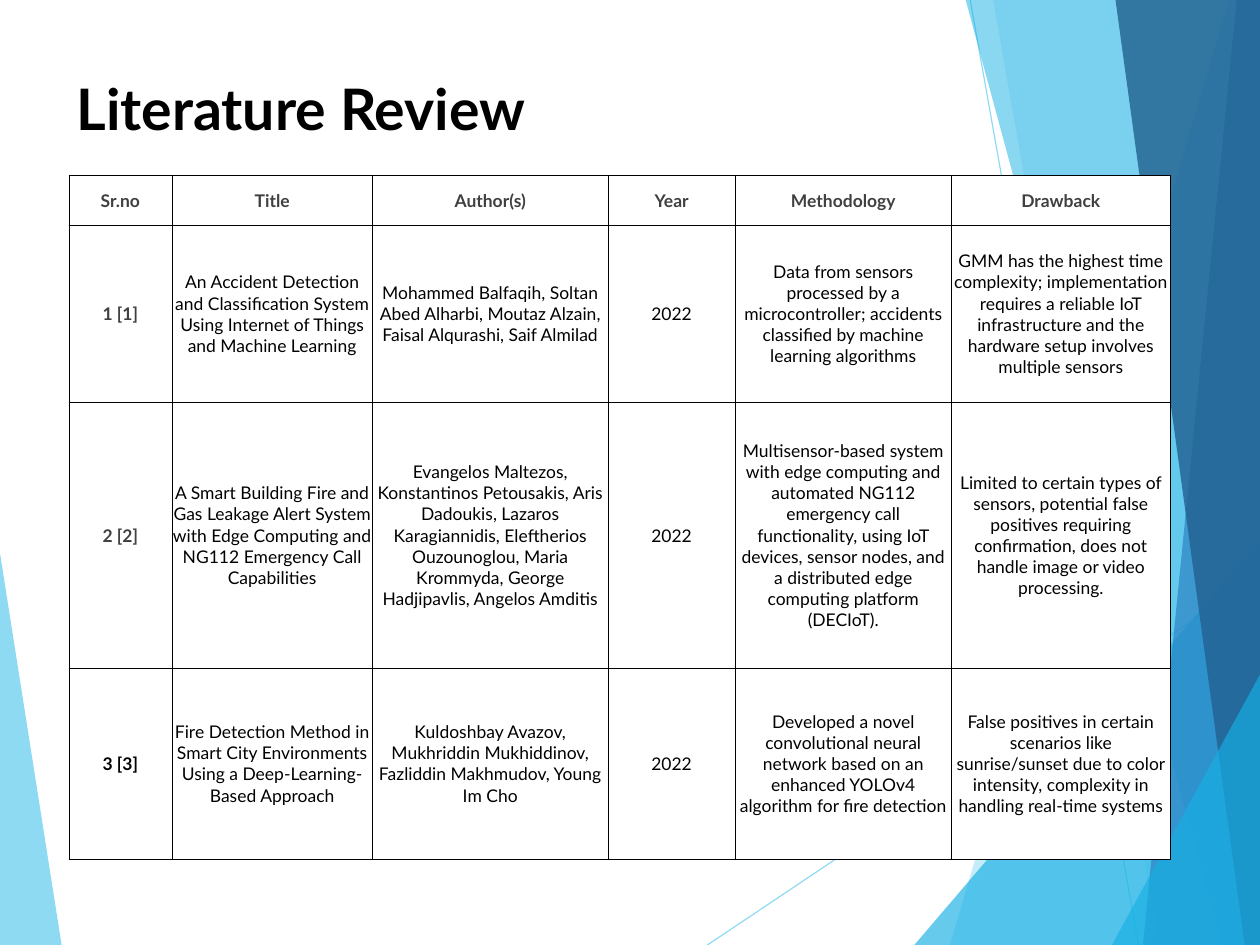
import pptx
import pptx.util
import pptx.dml.color
import pptx.enum.shapes
import pptx.enum.text
import pptx.oxml
import pptx.oxml.ns
from lxml import etree

Cm = pptx.util.Cm
qn = pptx.oxml.ns.qn

theme = {
    "font": "Lato", "title_size": 36, "table_size": 11,
    "ink": "000000", "label": "404040", "paper": "FFFFFF",
    "sky": "5FCBEF", "cyan": "17B0E4", "blue": "2E83C3", "navy": "236292",
    "accent_line": 0.75, "table_line": 0.45,
}


def write_text(frame, text, size, color, bold=False, align="LEFT"):
    frame.word_wrap = True
    para = frame.paragraphs[0]
    para.alignment = getattr(pptx.enum.text.PP_ALIGN, align)
    span = para.add_run()
    span.text = text
    span.font.name = theme["font"]
    span.font.size = pptx.util.Pt(size)
    span.font.bold = bold
    span.font.color.rgb = pptx.dml.color.RGBColor.from_string(color)


def paint(fill, color, opacity):
    fill.solid()
    fill.fore_color.rgb = pptx.dml.color.RGBColor.from_string(color)
    tint = fill._xPr.find(".//" + qn("a:srgbClr"))
    etree.SubElement(tint, qn("a:alpha"), val=str(opacity * 1000))


deck = pptx.Presentation()
deck.slide_width, deck.slide_height = Cm(28), Cm(21)
page = deck.slides.add_slide(deck.slide_layouts[6])

right_edge = [(28, 21), (28, 0)]
panels = [
    ([(0, 12.29), (1.37, 21), (0, 21)], "sky", 70),
    ([(27.31, 0), (21.11, 21)] + right_edge, "sky", 36),
    ([(22.07, 0), (25.76, 21)] + right_edge, "sky", 20),
    ([(20.32, 21), (28, 12.01), (28, 21)], "cyan", 66),
    ([(21.46, 0), (27.15, 21)] + right_edge, "cyan", 50),
    ([(27.48, 0), (25.4, 21)] + right_edge, "blue", 70),
    ([(24.79, 0), (27.66, 21)] + right_edge, "navy", 82),
    ([(24.71, 21), (28, 14.99), (28, 21)], "cyan", 66),
]
accent_lines = [(15.72, 21, 28, 12.78), (21.56, 0, 25.3, 21)]

for ends in accent_lines:
    accent = page.shapes.add_connector(
        pptx.enum.shapes.MSO_CONNECTOR.STRAIGHT, *[Cm(value) for value in ends])
    accent.line.width = pptx.util.Pt(theme["accent_line"])
    paint(accent.line.fill, theme["sky"], 70)
    etree.SubElement(accent._element.spPr, qn("a:effectLst"))

for corners, color, opacity in panels:
    points = [(Cm(x), Cm(y)) for x, y in corners]
    outline = page.shapes.build_freeform(*points[0])
    outline.add_line_segments(points[1:], close=True)
    panel = outline.convert_to_shape()
    panel.shadow.inherit = False
    panel.line.fill.background()
    paint(panel.fill, theme[color], opacity)

title_box = page.shapes.add_textbox(Cm(1.45), Cm(1.5), Cm(25.17), Cm(1.63))
write_text(title_box.text_frame, "Literature Review", size=theme["title_size"],
           color=theme["ink"], bold=True)

papers = [
    ("Sr.no", "Title", "Author(s)", "Year", "Methodology", "Drawback"),
    ("1 [1]",
     "An Accident Detection and Classification System Using Internet of Things and Machine Learning",
     "Mohammed Balfaqih, Soltan Abed Alharbi, Moutaz Alzain, Faisal Alqurashi, Saif Almilad",
     "2022",
     "Data from sensors processed by a microcontroller; accidents classified by machine "
     "learning algorithms",
     "GMM has the highest time complexity; implementation requires a reliable IoT "
     "infrastructure and the hardware setup involves multiple sensors"),
    ("2 [2]",
     "A Smart Building Fire and Gas Leakage Alert System with Edge Computing and NG112 "
     "Emergency Call Capabilities",
     "Evangelos Maltezos, Konstantinos Petousakis, Aris Dadoukis, Lazaros Karagiannidis, "
     "Eleftherios Ouzounoglou, Maria Krommyda, George Hadjipavlis, Angelos Amditis",
     "2022",
     "Multisensor-based system with edge computing and automated NG112 emergency call "
     "functionality, using IoT devices, sensor nodes, and a distributed edge computing "
     "platform (DECIoT).",
     "Limited to certain types of sensors, potential false positives requiring "
     "confirmation, does not handle image or video processing."),
    ("3 [3]",
     "Fire Detection Method in Smart City Environments Using a Deep-Learning-Based Approach",
     "Kuldoshbay Avazov, Mukhriddin Mukhiddinov, Fazliddin Makhmudov, Young Im Cho",
     "2022",
     "Developed a novel convolutional neural network based on an enhanced YOLOv4 algorithm "
     "for fire detection",
     "False positives in certain scenarios like sunrise/sunset due to color intensity, "
     "complexity in handling real-time systems"),
]
column_widths = [2.29, 4.46, 5.23, 2.83, 4.8, 4.87]
row_heights = [1.11, 3.93, 5.91, 4.24]

table = page.shapes.add_table(
    len(papers), len(column_widths), Cm(1.53), Cm(3.9),
    Cm(sum(column_widths)), Cm(sum(row_heights))).table
table.first_row = table.horz_banding = False
for column, width in zip(table.columns, column_widths):
    column.width = Cm(width)
for row, height in zip(table.rows, row_heights):
    row.height = Cm(height)

for row_index, paper in enumerate(papers):
    for column_index, text in enumerate(paper):
        cell = table.cell(row_index, column_index)
        is_label = row_index == 0 or column_index == 0
        is_last_number = row_index == len(papers) - 1 and column_index == 0
        color = "label" if is_label and not is_last_number else "ink"
        cell.margin_left = cell.margin_right = Cm(0.2 if is_label else 0.02)
        cell.margin_top = cell.margin_bottom = Cm(0.13)
        cell.vertical_anchor = pptx.enum.text.MSO_ANCHOR.MIDDLE
        write_text(cell.text_frame, text, size=theme["table_size"],
                   color=theme[color], bold=is_label, align="CENTER")
        properties = cell._tc.get_or_add_tcPr()
        for side in ("a:lnL", "a:lnR", "a:lnT", "a:lnB"):
            border = etree.SubElement(properties, qn(side),
                                      w=str(pptx.util.Pt(theme["table_line"])))
            solid = etree.SubElement(border, qn("a:solidFill"))
            etree.SubElement(solid, qn("a:srgbClr"), val=theme["ink"])
        cell.fill.solid()
        cell.fill.fore_color.rgb = pptx.dml.color.RGBColor.from_string(theme["paper"])

deck.save("out.pptx")
